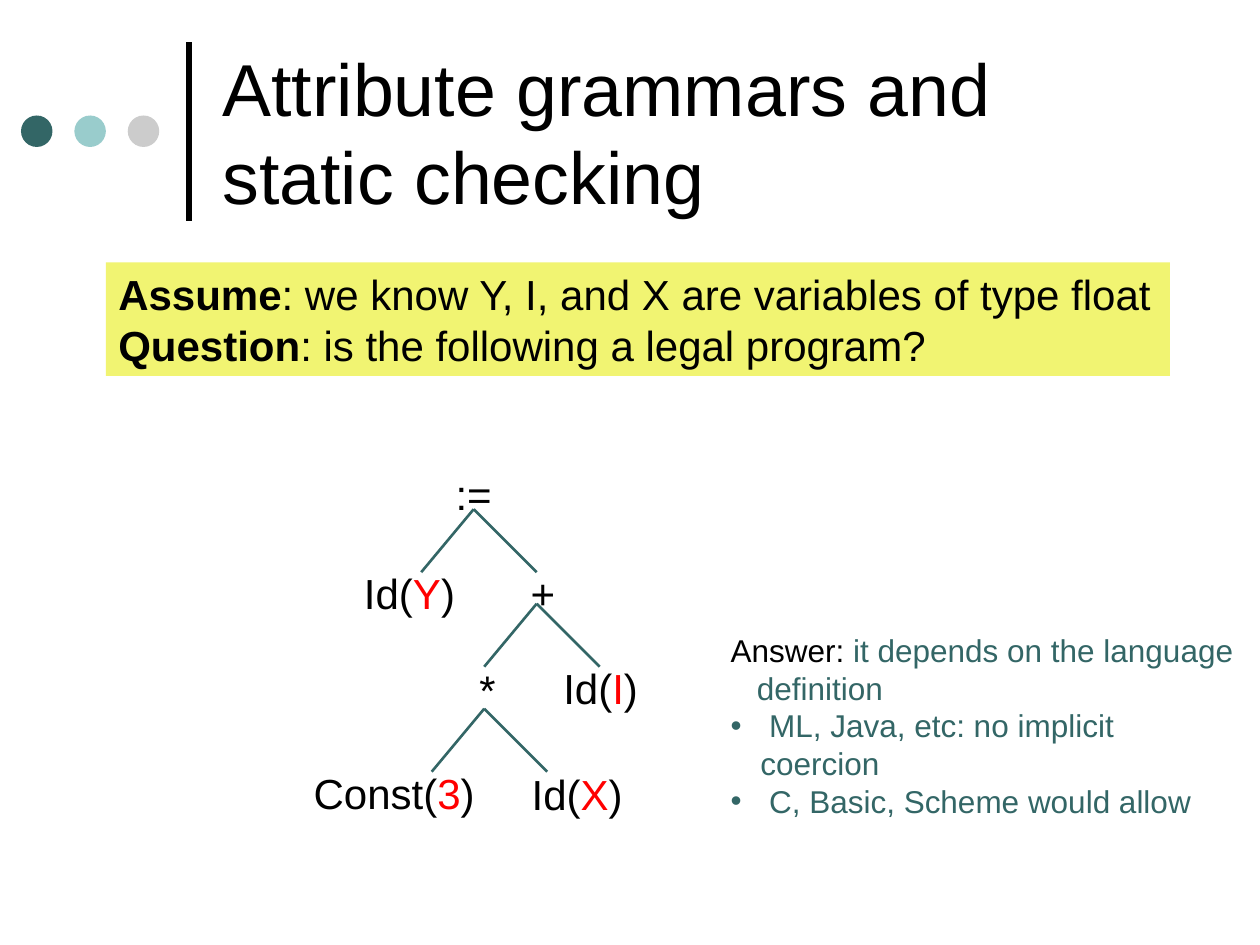
from dataclasses import dataclass

from lxml.etree import SubElement
from pptx import Presentation
from pptx.dml.color import RGBColor
from pptx.enum.shapes import MSO_CONNECTOR, MSO_SHAPE
from pptx.enum.text import MSO_ANCHOR, MSO_AUTO_SIZE, PP_ALIGN
from pptx.oxml.ns import qn
from pptx.util import Pt

BLACK, RED, TEAL = "000000", "FF0000", "336666"


@dataclass
class Span:
    """A stretch of text with one look."""
    text: str
    color: str = BLACK
    bold: bool = False


@dataclass
class Node:
    """A tree label, placed by its centre and top."""
    center: float
    top: float
    width: float
    spans: list[Span]
    font: str = "Arial"


@dataclass
class AnswerLine:
    """A paragraph of the answer."""
    spans: list[Span]
    margin: float = 0
    bullet: bool = False


def rgb(color: str) -> RGBColor:
    """Turn a hex string into a colour."""
    return RGBColor.from_string(color)


def write(paragraph, spans: list[Span], size: float, font: str = "Arial") -> None:
    """Fill a paragraph with formatted runs."""
    for span in spans:
        run = paragraph.add_run()
        run.text = span.text
        run.font.size = Pt(size)
        run.font.name = font
        run.font.bold = span.bold
        run.font.color.rgb = rgb(span.color)


def add_line(shapes, start: tuple, end: tuple, color: str, width: float) -> None:
    """Draw a straight line without a shadow."""
    points = [Pt(value) for value in (*start, *end)]
    line = shapes.add_connector(MSO_CONNECTOR.STRAIGHT, *points)
    line.line.color.rgb = rgb(color)
    line.line.width = Pt(width)
    SubElement(line._element.spPr, qn("a:effectLst"))


def add_filled(shapes, kind: MSO_SHAPE, box: tuple, color: str):
    """Draw a filled preset shape without outline or shadow."""
    shape = shapes.add_shape(kind, *(Pt(value) for value in box))
    shape.fill.solid()
    shape.fill.fore_color.rgb = rgb(color)
    shape.line.fill.background()
    shape.shadow.inherit = False
    return shape


def add_node(shapes, node: Node) -> None:
    """Write one centred tree label."""
    label = shapes.add_textbox(Pt(node.center - node.width / 2), Pt(node.top),
                               Pt(node.width), Pt(36))
    frame = label.text_frame
    frame.word_wrap = False
    frame.auto_size = MSO_AUTO_SIZE.SHAPE_TO_FIT_TEXT
    frame.paragraphs[0].alignment = PP_ALIGN.CENTER
    write(frame.paragraphs[0], node.spans, 24, node.font)


def add_branches(shapes, x: float, y: float) -> None:
    """Draw the two edges below a parent."""
    for offset in (-30, 36):
        add_line(shapes, (x, y), (x + offset, y + 36), TEAL, 1.5)


def add_paragraphs(frame, count: int) -> list:
    """Return the given number of paragraphs of a new text frame."""
    return [frame.paragraphs[0]] + [frame.add_paragraph() for _ in range(count - 1)]


def add_answer(shapes, lines: list[AnswerLine]) -> None:
    """Write the answer with its hanging bullets."""
    box = shapes.add_textbox(Pt(410.4), Pt(357), Pt(303), Pt(94))
    frame = box.text_frame
    frame.word_wrap = True
    for paragraph, line in zip(add_paragraphs(frame, len(lines)), lines):
        write(paragraph, line.spans, 18)
        properties = paragraph._p.get_or_add_pPr()
        properties.set("marL", str(Pt(line.margin)))
        if line.bullet:
            properties.set("indent", str(-Pt(line.margin)))
            SubElement(properties, qn("a:buFont"), typeface="Arial")
            SubElement(properties, qn("a:buChar"), char="•")


def call(name: str, argument: str) -> list[Span]:
    """Build a label whose argument is red."""
    return [Span(f"{name}("), Span(argument, RED), Span(")")]


NODES = [
    Node(270.7, 264, 36, [Span(":=")]),
    Node(234, 321, 70, call("Id", "Y")),
    Node(310.3, 321, 30, [Span("+")]),
    Node(278.6, 377, 30, [Span("*")], "Courier New"),
    Node(343.2, 375, 60, call("Id", "I")),
    Node(225.2, 435, 110, call("Const", "3")),
    Node(329.8, 435.5, 70, call("Id", "X")),
]
PARENTS = [(270.7, 291), (306.7, 345), (276.7, 405)]
PREMISE = [
    ("Assume", ": we know Y, I, and X are variables of type float"),
    ("Question", ": is the following a legal program?"),
]
ANSWER = [
    AnswerLine([Span("Answer:"), Span(" it depends on the language", TEAL)]),
    AnswerLine([Span("definition", TEAL)], 15),
    AnswerLine([Span(" ML, Java, etc: no implicit coercion", TEAL)], 17, True),
    AnswerLine([Span(" C, Basic, Scheme would allow", TEAL)], 17, True),
]

presentation = Presentation()
presentation.slide_width, presentation.slide_height = Pt(720), Pt(540)
slide = presentation.slides.add_slide(presentation.slide_layouts[5])

title = slide.shapes.title
title.left, title.top, title.width, title.height = Pt(120), Pt(15), Pt(552), Pt(120)
title.text_frame.auto_size = MSO_AUTO_SIZE.NONE
title.text_frame.vertical_anchor = MSO_ANCHOR.MIDDLE
title.text_frame.paragraphs[0].alignment = PP_ALIGN.LEFT
write(title.text_frame.paragraphs[0], [Span("Attribute grammars and static checking")], 42)

add_line(slide.shapes, (108, 126), (108, 24), BLACK, 3)
for index, dot_color in enumerate((TEAL, "99CCCC", "CCCCCC")):
    add_filled(slide.shapes, MSO_SHAPE.OVAL, (12 + 30.5 * index, 66, 18, 18), dot_color)

banner = add_filled(slide.shapes, MSO_SHAPE.RECTANGLE, (60.5, 150, 608, 64.8), "F1F472")
banner.text_frame.word_wrap = False
banner.text_frame.vertical_anchor = MSO_ANCHOR.TOP
for paragraph, (lead, rest) in zip(add_paragraphs(banner.text_frame, len(PREMISE)), PREMISE):
    paragraph.alignment = PP_ALIGN.LEFT
    write(paragraph, [Span(lead, bold=True), Span(rest)], 24)

tree = slide.shapes.add_group_shape()
for node in NODES:
    add_node(tree.shapes, node)
for parent in PARENTS:
    add_branches(tree.shapes, *parent)

add_answer(slide.shapes, ANSWER)
presentation.save("out.pptx")
